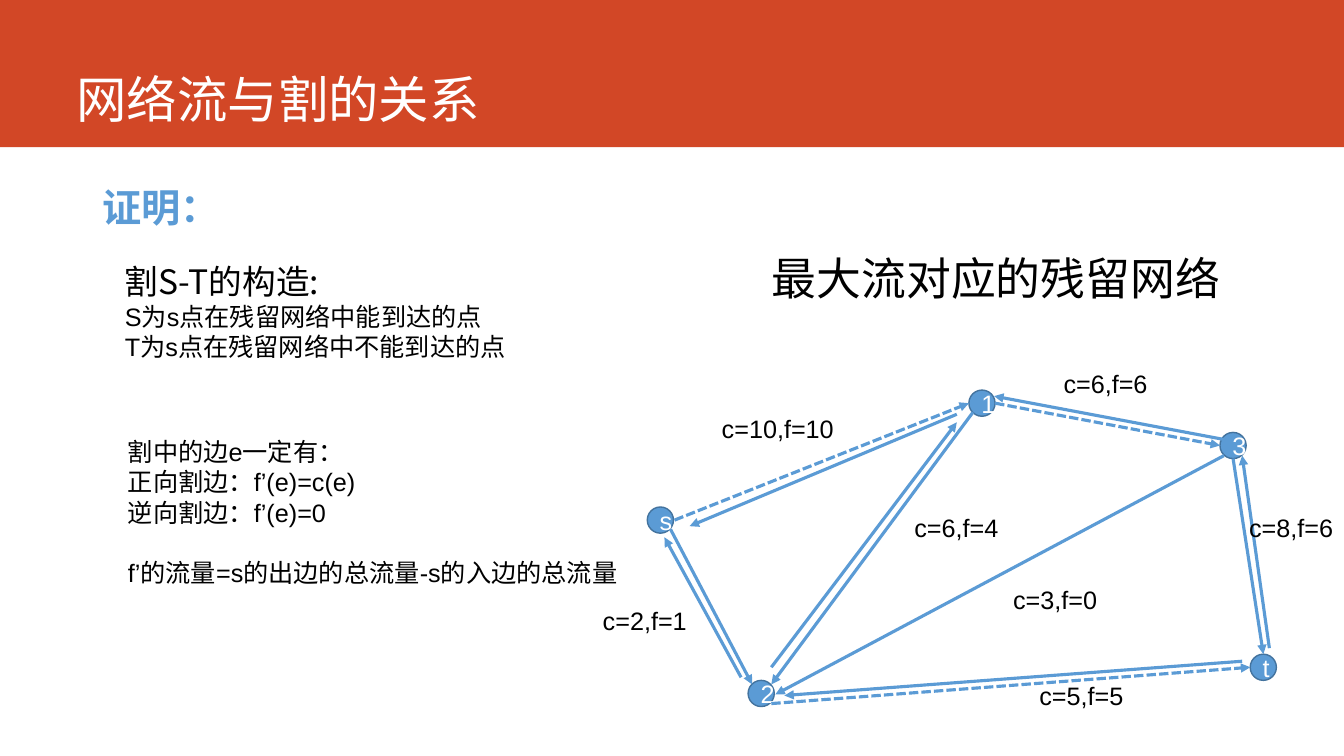
from pptx import Presentation
from pptx.dml.color import RGBColor
from pptx.enum.dml import MSO_LINE
from pptx.enum.shapes import MSO_CONNECTOR, MSO_SHAPE
from pptx.enum.text import MSO_ANCHOR, PP_ALIGN
from pptx.oxml.ns import qn
from pptx.util import Inches, Pt
from lxml import etree

RECT, OVAL = MSO_SHAPE.RECTANGLE, MSO_SHAPE.OVAL
STRAIGHT, DASH = MSO_CONNECTOR.STRAIGHT, MSO_LINE.SQUARE_DOT
LEFT, CENTER = PP_ALIGN.LEFT, PP_ALIGN.CENTER
TOP, MIDDLE, BOTTOM = MSO_ANCHOR.TOP, MSO_ANCHOR.MIDDLE, MSO_ANCHOR.BOTTOM

COLORS = {"banner": "D24726", "blue": "5B9BD5", "outline": "43739E",
          "black": "000000", "white": "FFFFFF"}
CJK, LATIN = "Noto Sans CJK SC", "Arial"

TITLE = "网络流与割的关系"
PROOF = "证明："
NETWORK = "最大流对应的残留网络"
CUT_HEADING = "割S-T的构造:"
CUT_SETS = ["S为s点在残留网络中能到达的点", "T为s点在残留网络中不能到达的点"]
CUT_EDGES = ["割中的边e一定有：", "正向割边：f’(e)=c(e)", "逆向割边：f’(e)=0"]
FLOW_VALUE = "f’的流量=s的出边的总流量-s的入边的总流量"

# name: centre
NODES = {"s": (6.55, 5.16), "1": (9.74, 4), "2": (7.55, 6.88),
         "t": (12.53, 6.62), "3": (12.23, 4.42)}
NODE_SIZE = 0.26

# start, arrow end
SATURATED_EDGES = [((6.69, 5.16), (9.61, 4)), ((7.65, 6.98), (12.4, 6.62)),
                   ((9.87, 4), (12.1, 4.42))]
RESIDUAL_EDGES = [
    ((6.65, 5.25), (7.46, 6.79)), ((12.23, 4.55), (12.53, 6.49)),
    ((9.65, 4.09), (7.65, 6.79)), ((12.14, 4.52), (7.69, 6.89)),
    ((9.49, 4.11), (6.84, 5.22)), ((7.65, 6.62), (9.49, 4.19)),
    ((7.35, 6.72), (6.59, 5.33)), ((12.59, 6.43), (12.32, 4.52)),
    ((12.14, 4.36), (9.86, 3.93)), ((12.32, 6.56), (7.78, 6.9)),
]

# text, left, top, width
EDGE_LABELS = [
    ("c=10,f=10", 7.06, 4.05, 1.38), ("c=6,f=6", 10.45, 3.6, 1.04),
    ("c=6,f=4", 8.97, 5.03, 1.04), ("c=3,f=0", 9.95, 5.75, 1.04),
    ("c=8,f=6", 12.29, 5.03, 1.04), ("c=5,f=5", 10.21, 6.7, 1.04),
    ("c=2,f=1", 5.88, 5.96, 1.04),
]
LABEL_HEIGHT = 0.4


def rgb(name):
    return RGBColor.from_string(COLORS[name])


def write(p, text, size=18, font=LATIN, color="black", bold=False, align=LEFT):
    p.alignment = align
    r = p.add_run()
    r.text = text
    for name, value in {"size": Pt(size), "name": font, "bold": bold}.items():
        setattr(r.font, name, value)
    r.font.color.rgb = rgb(color)
    etree.SubElement(r.font._element, qn("a:ea"), typeface=font)


def add_text(box, lines, anchor=TOP, wrap=True):
    """Add a text box; each line is a dict of arguments for write, plus a gap before."""
    tf = slide.shapes.add_textbox(*map(Inches, box)).text_frame
    tf.word_wrap, tf.vertical_anchor = wrap, anchor
    for i, line in enumerate(lines):
        p = tf.add_paragraph() if i else tf.paragraphs[0]
        style = dict(line)
        gap = style.pop("gap", 0)
        if gap:
            p.space_before = Pt(gap)
        write(p, **style)


def add_filled(kind, box, fill, outline=None):
    s = slide.shapes.add_shape(kind, *map(Inches, box))
    s.shadow.inherit = False
    s.fill.solid()
    s.fill.fore_color.rgb = rgb(fill)
    if outline:
        s.line.color.rgb = rgb(outline)
        s.line.width = Pt(1)
    else:
        s.line.fill.background()
    return s


def add_node(name, x, y):
    s = add_filled(OVAL, (x - NODE_SIZE / 2, y - NODE_SIZE / 2, NODE_SIZE, NODE_SIZE),
                   "blue", "outline")
    s.text_frame.vertical_anchor = MIDDLE
    write(s.text_frame.paragraphs[0], name, color="white", align=CENTER)


def add_edge(start, end, dashed=False):
    c = slide.shapes.add_connector(STRAIGHT, *map(Inches, start + end))
    c.line.color.rgb = rgb("blue")
    c.line.width = Pt(2.25)
    if dashed:
        c.line.dash_style = DASH
    etree.SubElement(c.line._get_or_add_ln(), qn("a:tailEnd"), type="triangle")
    etree.SubElement(c._element.spPr, qn("a:effectLst"))


prs = Presentation()
prs.slide_width, prs.slide_height = Inches(13.33), Inches(7.5)
slide = prs.slides.add_slide(prs.slide_layouts[6])

add_filled(RECT, (0, 0, 13.33, 1.46), "banner")
add_text((0.66, 0, 11.76, 1.32),
         [dict(text=TITLE, size=36, font=CJK, color="white")], BOTTOM)
add_text((0.92, 1.77, 1.34, 0.57),
         [dict(text=PROOF, size=28, font=CJK, color="blue", bold=True)], wrap=False)
add_text((7.18, 2.44, 5.4, 0.64), [dict(text=NETWORK, size=32, align=CENTER)])
add_text((1.14, 2.54, 4.2, 1.11),
         [dict(text=CUT_HEADING, size=24, font=CJK)] + [dict(text=t) for t in CUT_SETS],
         wrap=False)
add_text((1.17, 4.28, 5.14, 1.62),
         [dict(text=t) for t in CUT_EDGES] + [dict(text=FLOW_VALUE, gap=21.5)])

for name, (x, y) in NODES.items():
    add_node(name, x, y)
for start, end in SATURATED_EDGES:
    add_edge(start, end, dashed=True)
for start, end in RESIDUAL_EDGES:
    add_edge(start, end)
for text, left, top, width in EDGE_LABELS:
    add_text((left, top, width, LABEL_HEIGHT), [dict(text=text)], wrap=False)

prs.save("out.pptx")
